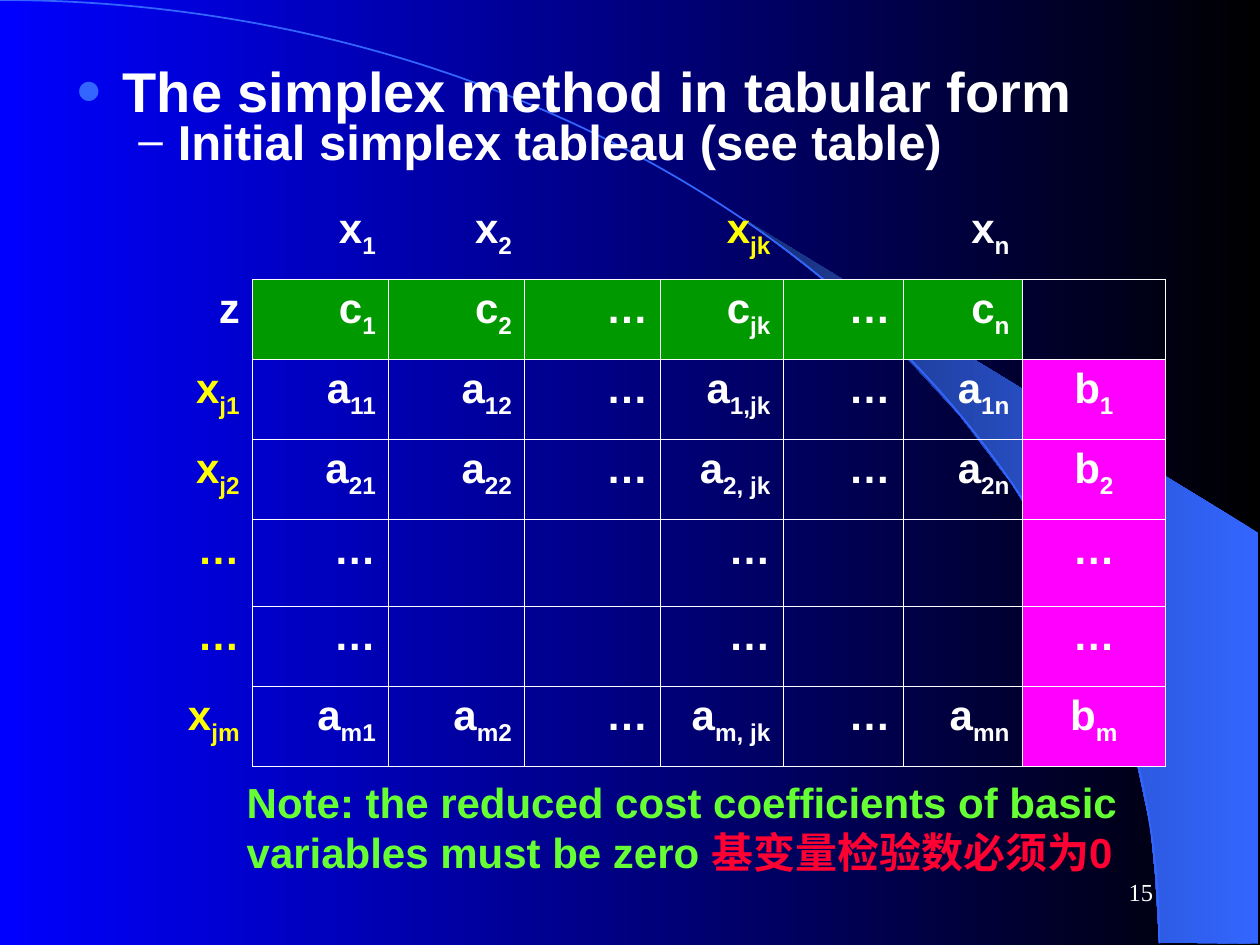
from lxml import etree
from pptx import Presentation
from pptx.dml.color import RGBColor
from pptx.enum.shapes import MSO_SHAPE
from pptx.enum.text import MSO_ANCHOR, MSO_AUTO_SIZE, PP_ALIGN
from pptx.oxml.ns import qn
from pptx.util import Pt

ARC = MSO_SHAPE.ARC
MIDDLE = MSO_ANCHOR.MIDDLE
GROW = MSO_AUTO_SIZE.SHAPE_TO_FIT_TEXT
RIGHT, CENTER = PP_ALIGN.RIGHT, PP_ALIGN.CENTER
BLACK, WHITE, BLUE, SKY, NAVY = "000000", "FFFFFF", "0000FF", "3366FF", "172F75"
YELLOW, GREEN, MAGENTA, LIME, RED = "FFFF00", "009900", "FF00FF", "66FF33", "FF0033"
NO_STYLE = "{2D5ABB26-0587-4C30-8999-92F81FD0307C}"

# Content: text, size, left margin, hanging indent, bullet, bullet colour, bullet percent
HEADINGS = [
    ("The simplex method in tabular form", 32, 27, 27, "●", SKY, 80),
    ("Initial simplex tableau (see table)", 28, 58.5, 22.5, "–", WHITE, 90),
]
# An underscore starts a subscript
TABLEAU = [
    ["", "x_1", "x_2", "", "x_jk", "", "x_n", ""],
    ["z", "c_1", "c_2", "…", "c_jk", "…", "c_n", ""],
    ["x_j1", "a_11", "a_12", "…", "a_1,jk", "…", "a_1n", "b_1"],
    ["x_j2", "a_21", "a_22", "…", "a_2, jk", "…", "a_2n", "b_2"],
    ["…", "…", "", "", "…", "", "", "…"],
    ["…", "…", "", "", "…", "", "", "…"],
    ["x_jm", "a_m1", "a_m2", "…", "a_m, jk", "…", "a_mn", "b_m"],
]
COLUMN_WIDTHS = [77.8] * 4 + [70, 68.6, 68, 82]
ROW_HEIGHTS = [45.8] * 4 + [49.6] + [45.8] * 2
NOTE = [
    [("Note: the reduced cost coefficients of basic", LIME)],
    [("variables must be zero ", LIME), ("基变量检验数必须为0", RED)],
]
PAGE_NUMBER = "15"
CRESCENT = [
    (662.4, 538.6), (719.3, 539.3), (719.3, 304.6), (424.1, 124.6), (449.3, 143.3),
    (470.2, 159.8), (493.2, 180), (515.5, 201.6), (548.6, 237.6), (578.2, 276.5),
    (599, 310.3), (617.8, 344.9), (632.2, 380.2), (643, 411.8), (650.2, 438.5),
    (657.4, 472.3), (660.2, 501.1),
]


def rgb(value):
    return RGBColor.from_string(value)


def set_gradient(fill, start, end):
    fill.gradient()
    fill.gradient_angle = 180
    for stop, color in zip(fill.gradient_stops, (start, end)):
        stop.color.rgb = rgb(color)


def format_run(run, size, color, bold=True, font="Arial"):
    run.font.size = Pt(size)
    run.font.name = font
    run.font.bold = bold
    run.font.color.rgb = rgb(color)


def add_text_box(slide, left, top, width, height, wrap=True):
    box = slide.shapes.add_textbox(Pt(left), Pt(top), Pt(width), Pt(height))
    box.text_frame.word_wrap = wrap
    return box.text_frame


def paragraphs_for(text_frame, texts):
    text_frame.text = "\n".join(texts)
    return text_frame.paragraphs


def add_bullet(paragraph, margin, hanging, bullet, color, percent):
    properties = paragraph._p.get_or_add_pPr()
    properties.set("marL", str(Pt(margin)))
    properties.set("indent", str(-Pt(hanging)))
    bullet_color = etree.SubElement(properties, qn("a:buClr"))
    etree.SubElement(bullet_color, qn("a:srgbClr"), val=color)
    etree.SubElement(properties, qn("a:buSzPct"), val=str(percent * 1000))
    etree.SubElement(properties, qn("a:buFont"), typeface="Arial")
    etree.SubElement(properties, qn("a:buChar"), char=bullet)


def set_borders(cell, sides):
    properties = cell._tc.get_or_add_tcPr()
    for side, shown in sides.items():
        line = etree.SubElement(properties, qn("a:ln" + side), w=str(Pt(0.45)))
        if shown:
            solid = etree.SubElement(line, qn("a:solidFill"))
            etree.SubElement(solid, qn("a:srgbClr"), val=WHITE)
        else:
            etree.SubElement(line, qn("a:noFill"))


def fill_cell(cell, row, column, text):
    inner_row, inner_column = row > 0, column > 0
    boxed = inner_row and inner_column
    last_column = column == len(COLUMN_WIDTHS) - 1
    set_borders(cell, {"L": boxed, "R": inner_row, "T": boxed, "B": inner_column})

    fill_color = None
    if row == 1 and inner_column and not last_column:
        fill_color = GREEN
    elif row > 1 and last_column:
        fill_color = MAGENTA
    if fill_color:
        cell.fill.solid()
        cell.fill.fore_color.rgb = rgb(fill_color)
    else:
        cell.fill.background()

    if not text:
        return
    basic = (column == 0 and row > 1) or (row == 0 and text == "x_jk")
    paragraph = cell.text_frame.paragraphs[0]
    paragraph.alignment = CENTER if last_column else RIGHT
    paragraph.space_before = Pt(6)
    for index, part in enumerate(text.split("_")):
        run = paragraph.add_run()
        run.text = part
        format_run(run, 24, YELLOW if basic else WHITE)
        if index:
            run.font._element.set("baseline", "-25000")


presentation = Presentation()
presentation.slide_width, presentation.slide_height = Pt(720), Pt(540)
slide = presentation.slides.add_slide(presentation.slide_layouts[6])

# Background with crescent and arc
set_gradient(slide.background.fill, BLACK, BLUE)
builder = slide.shapes.build_freeform(Pt(CRESCENT[0][0]), Pt(CRESCENT[0][1]))
builder.add_line_segments([(Pt(x), Pt(y)) for x, y in CRESCENT[1:]], close=True)
crescent = builder.convert_to_shape()
crescent.shadow.inherit = False
set_gradient(crescent.fill, SKY, NAVY)
crescent.line.fill.background()

arc = slide.shapes.add_shape(ARC, Pt(-662.4), Pt(0), Pt(1324.8), Pt(1078))
arc.shadow.inherit = False
arc.fill.background()
arc.line.color.rgb = rgb(SKY)
arc.line.width = Pt(1)

# Headings
heading_frame = add_text_box(slide, 36, 36, 666, 72)
heading_paragraphs = paragraphs_for(heading_frame, [item[0] for item in HEADINGS])
for level, (paragraph, item) in enumerate(zip(heading_paragraphs, HEADINGS)):
    paragraph.level = level
    paragraph.line_spacing = 0.8
    add_bullet(paragraph, *item[2:])
    format_run(paragraph.runs[0], item[1], WHITE)

# Simplex tableau
table_frame = slide.shapes.add_table(
    len(ROW_HEIGHTS), len(COLUMN_WIDTHS), Pt(66.4), Pt(113.9),
    Pt(sum(COLUMN_WIDTHS)), Pt(sum(ROW_HEIGHTS)))
table = table_frame.table
table.first_row = table.horz_banding = False
table_frame._element.find(".//" + qn("a:tableStyleId")).text = NO_STYLE
for column, width in zip(table.columns, COLUMN_WIDTHS):
    column.width = Pt(width)
for row, height in zip(table.rows, ROW_HEIGHTS):
    row.height = Pt(height)
for row_index, texts in enumerate(TABLEAU):
    for column_index, text in enumerate(texts):
        fill_cell(table.cell(row_index, column_index), row_index, column_index, text)

# Note
note_frame = add_text_box(slide, 133.9, 440, 520.6, 64.8, wrap=False)
note_frame.auto_size = GROW
for paragraph, parts in zip(paragraphs_for(note_frame, [""] * len(NOTE)), NOTE):
    for text, color in parts:
        run = paragraph.add_run()
        run.text = text
        format_run(run, 24, color)

# Page number
number_frame = add_text_box(slide, 516.2, 491.8, 149.8, 36)
number_frame.vertical_anchor = MIDDLE
number_frame.text = PAGE_NUMBER
number_frame.paragraphs[0].alignment = RIGHT
format_run(number_frame.paragraphs[0].runs[0], 14, WHITE, False, "Times New Roman")

presentation.save("out.pptx")
